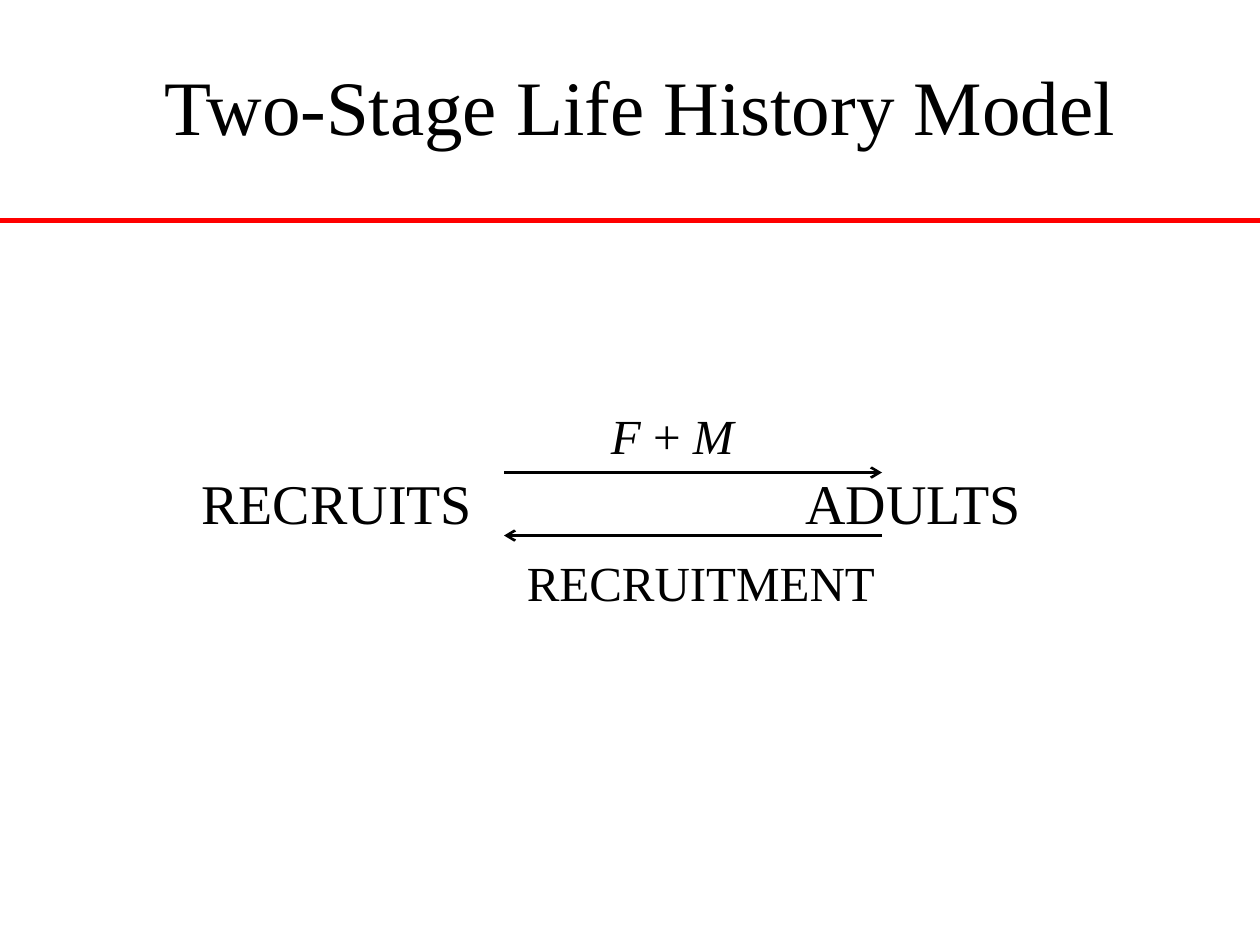
import pptx
import pptx.dml.color
import pptx.enum.shapes
import pptx.enum.text
import pptx.oxml
import pptx.oxml.ns
import pptx.util
from lxml import etree

Pt = pptx.util.Pt
BLACK = pptx.dml.color.RGBColor(0, 0, 0)
RED = pptx.dml.color.RGBColor(255, 0, 0)
FONT = "Times New Roman"
PAGE_WIDTH, PAGE_HEIGHT = 720, 540


def add_text(page, box, spans, size):
    """Place one paragraph made of (text, italic) spans; return its shape."""
    shape = page.shapes.add_textbox(*map(Pt, box))
    shape.text_frame.word_wrap = True
    para = shape.text_frame.paragraphs[0]
    for text, italic in spans:
        span = para.add_run()
        span.text = text
        span.font.name = FONT
        span.font.size = Pt(size)
        span.font.italic = italic
        span.font.color.rgb = BLACK
    return shape


def add_line(page, start, end, color, width, arrow=False):
    """Draw a straight line, with an open arrowhead at its end if asked."""
    line = page.shapes.add_connector(
        pptx.enum.shapes.MSO_CONNECTOR.STRAIGHT, *map(Pt, start + end))
    line.line.color.rgb = color
    line.line.width = Pt(width)
    if arrow:
        etree.SubElement(line.line._get_or_add_ln(),
                         pptx.oxml.ns.qn("a:tailEnd"), type="arrow")
    etree.SubElement(line._element.spPr, pptx.oxml.ns.qn("a:effectLst"))


def add_header(page, box):
    """Centred title with a red rule across the page below it."""
    title = add_text(page, box, [("Two-Stage Life History Model", False)], 44)
    title.text_frame.vertical_anchor = pptx.enum.text.MSO_ANCHOR.MIDDLE
    title.text_frame.paragraphs[0].alignment = pptx.enum.text.PP_ALIGN.CENTER
    rule_y = box[1] + box[3] + 6
    add_line(page, (0, rule_y), (PAGE_WIDTH, rule_y), RED, 3)


def add_cycle(page, box):
    """Two life stages joined by a labelled arrow in each direction."""
    left, top, width, height = box

    # Stages share one line, set apart by a tab stop
    stages = add_text(page, box, [("RECRUITS\tADULTS", False)], 32)
    para = stages.text_frame.paragraphs[0]
    para.space_before = Pt(8)
    tabs = etree.SubElement(para._p.get_or_add_pPr(),
                            pptx.oxml.ns.qn("a:tabLst"))
    etree.SubElement(tabs, pptx.oxml.ns.qn("a:tab"),
                     pos=str(Pt(345)), algn="l")

    # Arrows
    near, far = left + 180, left + 396
    upper, lower = top + 6, top + 42
    add_line(page, (near, upper), (far, upper), BLACK, 1.5, arrow=True)
    add_line(page, (far, lower), (near, lower), BLACK, 1.5, arrow=True)

    # Arrow labels
    add_text(page, (near + 54, upper - 42, 156, 48),
             [("F", True), (" + ", False), ("M", True)], 28)
    add_text(page, (near + 6, lower + 6, 282, 60),
             [("RECRUITMENT", False)], 28)


def main():
    deck = pptx.Presentation()
    deck.slide_width, deck.slide_height = Pt(PAGE_WIDTH), Pt(PAGE_HEIGHT)
    page = deck.slides.add_slide(deck.slide_layouts[6])
    add_header(page, (60, 0, 612, 120))
    add_cycle(page, (108, 264, 552, 72))
    deck.save("out.pptx")


if __name__ == "__main__":
    main()
